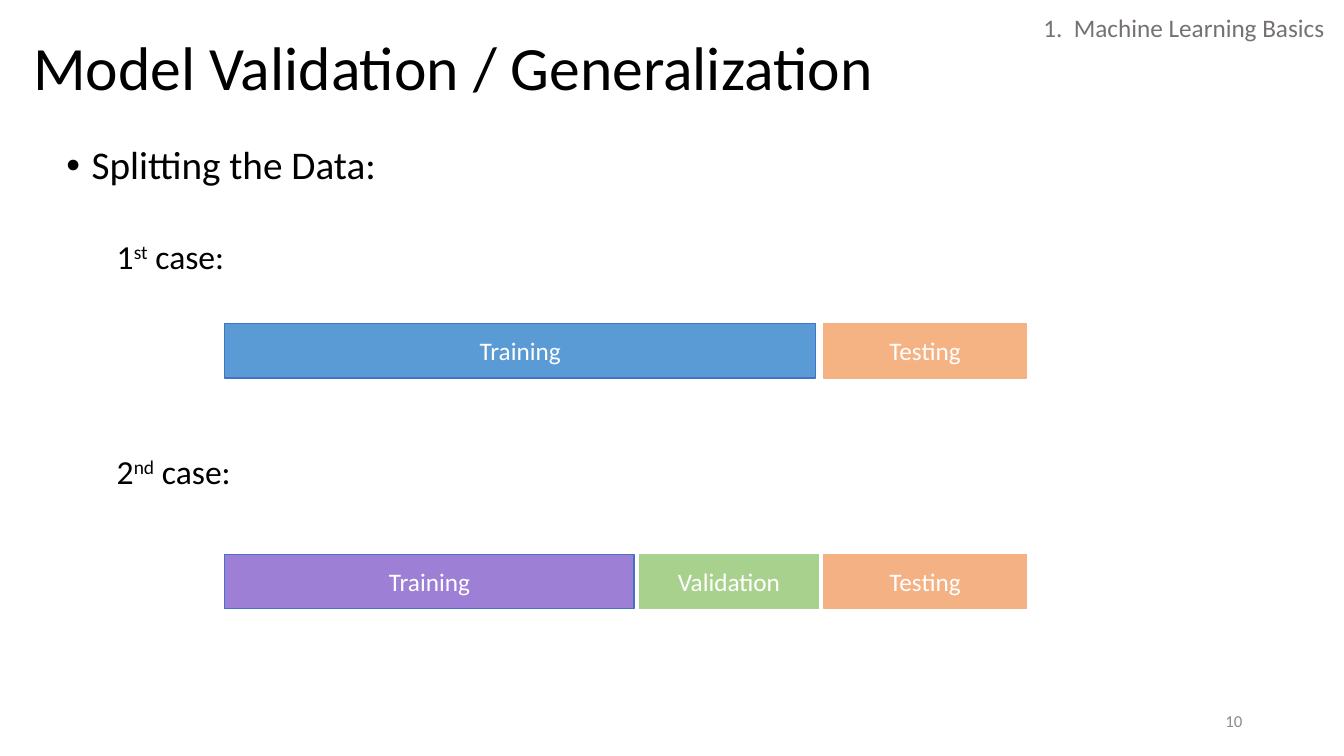
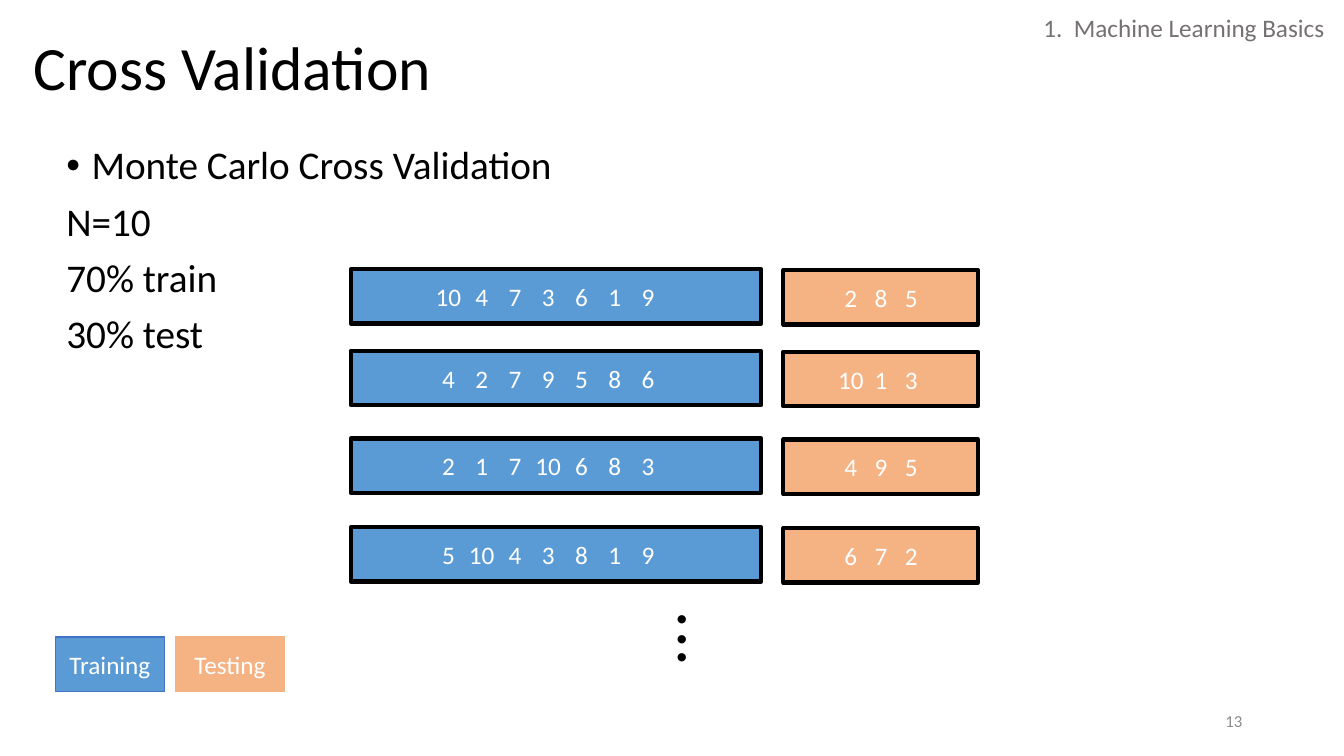
from lxml import etree
from pptx import Presentation
from pptx.dml.color import RGBColor
from pptx.enum.shapes import MSO_SHAPE as Preset
from pptx.enum.text import MSO_ANCHOR as Anchor, MSO_AUTO_SIZE as AutoSize, PP_ALIGN as Align
from pptx.oxml.ns import qn
from pptx.util import Inches, Pt

# Shared look
FONT = "Calibri"
BLACK, WHITE, HEADER_GRAY, NUMBER_GRAY = "000000", "FFFFFF", "767171", "8C8C8C"
BLUE, BLUE_EDGE, PURPLE = "5B9BD5", "4472C4", "9D7FD5"
ORANGE, ORANGE_EDGE, GREEN = "F5B283", "F4B183", "A9D18E"
HEADER = "1.  Machine Learning Basics"
BAR_HEIGHT = 0.54

# Content: body lines hold runs of (text, raised), then size, space before, indent, bullet
SPLIT_LINES = [
    ([("Splitting the Data:", False)], 28, 0, 0.25, True),
    ([("1", False), ("st", True), (" case:", False)], 24, 37, 0.5, False),
    ([("2", False), ("nd", True), (" case:", False)], 24, 128, 0.5, False),
]
MONTE_CARLO_LINES = [
    ([("Monte Carlo Cross Validation", False)], 28, 0, 0.25, True),
    ([("N=10", False)], 28, 10, 0, False),
    ([("70% train", False)], 28, 10, 0, False),
    ([("30% test", False)], 28, 10, 0, False),
]

# Bars: top, then (label, left, width, fill, edge)
SPLIT_CASES = [
    (3.21, [("Training", 2.23, 5.86, BLUE, BLUE_EDGE),
            ("Testing", 8.17, 2.01, ORANGE, ORANGE_EDGE)]),
    (5.5, [("Training", 2.23, 4.06, PURPLE, BLUE_EDGE),
           ("Validation", 6.34, 1.78, GREEN, GREEN),
           ("Testing", 8.17, 2.01, ORANGE_EDGE, ORANGE_EDGE)]),
]
LEGEND = [("Training", 0.55, 1.08, BLUE, BLUE_EDGE),
          ("Testing", 1.74, 1.08, ORANGE, ORANGE_EDGE)]

# Random draws: top, training samples, testing samples
DRAWS = [
    (2.67, [10, 4, 7, 3, 6, 1, 9], [2, 8, 5]),
    (3.48, [4, 2, 7, 9, 5, 8, 6], [10, 1, 3]),
    (4.35, [2, 1, 7, 10, 6, 8, 3], [4, 9, 5]),
    (5.23, [5, 10, 4, 3, 8, 1, 9], [6, 7, 2]),
]
# Sample bars: left, width, drop, first tab stop, tab step, fill
TRAIN_BAR = (3.48, 4.07, 0, 0.87, 0.33, BLUE)
TEST_BAR = (7.77, 1.93, 0.01, 0.57, 0.3, ORANGE)
DOT_TOPS = [5.58, 5.78, 5.96]


def rgb(value):
    return RGBColor.from_string(value)


def assign(target, values):
    for name, value in values.items():
        setattr(target, name, value)


def add_span(para, text, size, color, bold=False, raised=False):
    span = para.add_run()
    span.text = text
    assign(span.font, {"name": FONT, "size": Pt(size), "bold": bold})
    span.font.color.rgb = rgb(color)
    if raised:
        span.font._element.set("baseline", "30000")


def add_box(page, left, top, width, height, **frame_format):
    box = page.shapes.add_textbox(*map(Inches, (left, top, width, height)))
    assign(box.text_frame, {"word_wrap": True, **frame_format})
    return box.text_frame


def add_line(page, place, text, size, color, align=Align.LEFT, bold=False, **frame_format):
    para = add_box(page, *place, **frame_format).paragraphs[0]
    para.alignment = align
    add_span(para, text, size, color, bold)


def add_body(page, width, lines):
    frame = add_box(page, 0.56, 1.4, width, 4.76)
    for index, (spans, size, before, indent, bullet) in enumerate(lines):
        para = frame.add_paragraph() if index else frame.paragraphs[0]
        assign(para, {"line_spacing": 0.9, "space_before": Pt(before)})
        props = para._p.get_or_add_pPr()
        props.set("marL", str(Inches(indent)))
        props.set("indent", str(Inches(-indent if bullet else 0)))
        if bullet:
            etree.SubElement(props, qn("a:buFont")).set("typeface", "Arial")
            etree.SubElement(props, qn("a:buChar")).set("char", "•")
        for text, raised in spans:
            add_span(para, text, size, BLACK, raised=raised)


def add_bar(page, top, text, left, width, fill, edge, edge_width=1):
    bar = page.shapes.add_shape(
        Preset.RECTANGLE, *map(Inches, (left, top, width, BAR_HEIGHT)))
    bar.shadow.inherit = False
    bar.fill.solid()
    bar.fill.fore_color.rgb = rgb(fill)
    bar.line.color.rgb = rgb(edge)
    bar.line.width = Pt(edge_width)
    bar.text_frame.vertical_anchor = Anchor.MIDDLE
    para = bar.text_frame.paragraphs[0]
    para.alignment = Align.CENTER
    add_span(para, text, 18, WHITE)
    return para


def add_samples(page, top, samples, style):
    """A bar whose numbers sit on evenly spaced, centred tab stops."""
    left, width, drop, first, step, fill = style
    text = "".join(f"\t{sample}" for sample in samples)
    para = add_bar(page, top + drop, text, left, width, fill, BLACK, 3)
    para.alignment = Align.LEFT
    stops = etree.SubElement(para._p.get_or_add_pPr(), qn("a:tabLst"))
    for index in range(len(samples)):
        stop = etree.SubElement(stops, qn("a:tab"))
        stop.set("pos", str(Inches(first + index * step)))
        stop.set("algn", "ctr")


def add_page(deck, title, number):
    page = deck.slides.add_slide(deck.slide_layouts[5])
    heading = page.shapes.title
    assign(heading, {"left": Inches(0.23), "top": Inches(-0.02),
                     "width": Inches(11.5), "height": Inches(1.45)})
    assign(heading.text_frame, {"vertical_anchor": Anchor.MIDDLE,
                                "auto_size": AutoSize.NONE, "word_wrap": True})
    para = heading.text_frame.paragraphs[0]
    assign(para, {"alignment": Align.LEFT, "line_spacing": 0.9})
    add_span(para, title, 44, BLACK)
    add_line(page, (9.42, 6.95, 3, 0.4), str(number), 12, NUMBER_GRAY,
             Align.RIGHT, vertical_anchor=Anchor.MIDDLE)
    add_line(page, (10.25, 0.07, 3.02, 0.4), HEADER, 18, HEADER_GRAY,
             word_wrap=False, auto_size=AutoSize.SHAPE_TO_FIT_TEXT)
    return page


def main():
    deck = Presentation()
    assign(deck, {"slide_width": Inches(13.33), "slide_height": Inches(7.5)})

    # Splitting the data
    page = add_page(deck, "Model Validation / Generalization", 10)
    add_body(page, 11.5, SPLIT_LINES)
    for top, bars in SPLIT_CASES:
        for bar in bars:
            add_bar(page, top, *bar)

    # Monte Carlo cross validation
    page = add_page(deck, "Cross Validation", 13)
    add_body(page, 6.11, MONTE_CARLO_LINES)
    for top, training, testing in DRAWS:
        add_samples(page, top, training, TRAIN_BAR)
        add_samples(page, top, testing, TEST_BAR)
    for item in LEGEND:
        add_bar(page, 6.32, *item)
    for top in DOT_TOPS:
        add_line(page, (6.59, top, 0.35, 0.77), ".", 40, BLACK, bold=True,
                 word_wrap=False, auto_size=AutoSize.SHAPE_TO_FIT_TEXT)

    deck.save("out.pptx")


if __name__ == "__main__":
    main()
